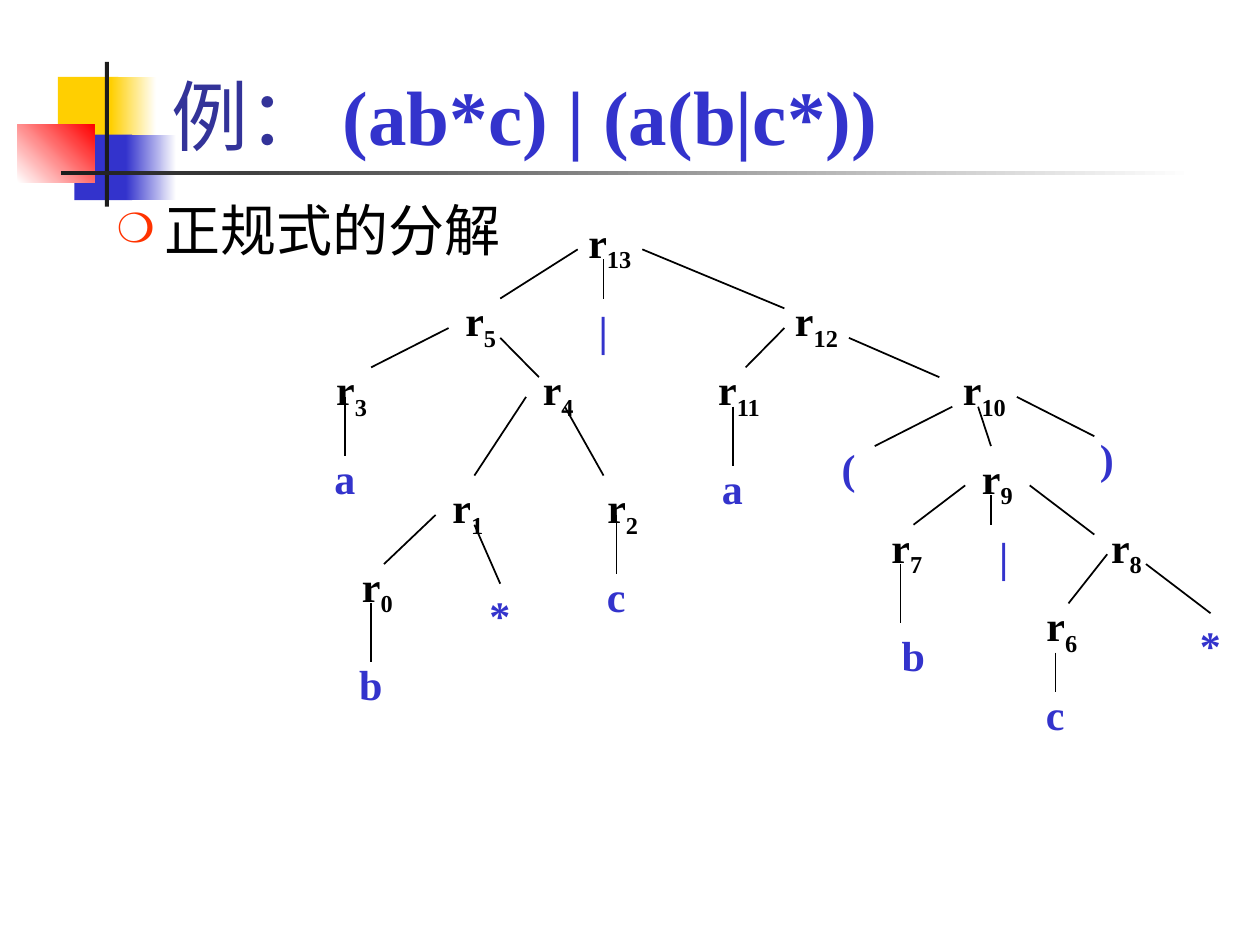
from lxml import etree
from pptx import Presentation
from pptx.dml.color import RGBColor
from pptx.enum.shapes import MSO_CONNECTOR, MSO_SHAPE
from pptx.enum.text import MSO_ANCHOR as ANCHOR, MSO_AUTO_SIZE as FIT, PP_ALIGN as ALIGN
from pptx.oxml import parse_xml
from pptx.oxml.ns import nsdecls, qn
from pptx.util import Pt

FONT = "Times New Roman"
YELLOW = RGBColor(0xFF, 0xCF, 0x01)
BLUE = RGBColor(0x33, 0x33, 0xCC)
NAVY = RGBColor(0x33, 0x33, 0x99)
RED = RGBColor(0xFF, 0x00, 0x00)
DARK = RGBColor(0x1C, 0x1C, 0x1C)
WHITE = RGBColor(0xFF, 0xFF, 0xFF)
BLACK = RGBColor(0x00, 0x00, 0x00)

# Tree grid: origin and step
X0, Y0, DX, DY = 197.3, 142.5, 7.38, 5.62


def add_run(p, text, size, color, bold=False):
    r = p.add_run()
    r.text = text
    for name, value in {"name": FONT, "size": Pt(size), "bold": bold}.items():
        setattr(r.font, name, value)
    r.font.color.rgb = color
    return r


def grid(col, row):
    return Pt(round(X0 + col * DX, 2)), Pt(round(Y0 + row * DY, 2))


prs = Presentation()
prs.slide_width, prs.slide_height = Pt(720), Pt(540)
s = prs.slides.add_slide(prs.slide_layouts[1])

# Corner ornament: left, top, width, height, colours, gradient angle
ornament = [
    (33.1, 43.9, 34.6, 37.4, [YELLOW], 0),
    (63.4, 43.9, 25.9, 37.4, [YELLOW, WHITE], 0),
    (42.5, 77, 33.1, 37.4, [BLUE], 0),
    (72, 77, 28.8, 37.4, [BLUE, WHITE], 0),
    (10.1, 71.3, 43.9, 33.1, [WHITE, RED], 45),
    (60, 35.3, 2.2, 82.8, [DARK], 0),
    (34.6, 97.9, 648, 2.2, [DARK, WHITE], 0),
]
for left, top, width, height, colors, angle in ornament:
    sp = s.shapes.add_shape(MSO_SHAPE.RECTANGLE, Pt(left), Pt(top), Pt(width), Pt(height))
    sp.shadow.inherit = False
    sp.line.fill.background()
    if len(colors) == 1:
        sp.fill.solid()
        sp.fill.fore_color.rgb = colors[0]
    else:
        sp.fill.gradient()
        sp.fill.gradient_angle = angle
        for stop, color, position in zip(sp.fill.gradient_stops, colors, (0, 1)):
            stop.color.rgb = color
            stop.position = position

# Title and body, in front of the ornament
title, body = s.shapes.title, s.placeholders[1]
boxes = [
    (title, (90.7, 5.8, 613.4, 90), ANCHOR.BOTTOM),
    (body, (59.8, 108, 612, 54), ANCHOR.TOP),
]
for sp, box, anchor in boxes:
    sp.left, sp.top, sp.width, sp.height = map(Pt, box)
    tf = sp.text_frame
    for name, value in {"word_wrap": True, "auto_size": FIT.NONE, "vertical_anchor": anchor}.items():
        setattr(tf, name, value)
    tf.paragraphs[0].alignment = ALIGN.LEFT
    tf.paragraphs[0].space_before = Pt(0)
    s.shapes._spTree.append(sp._element)

p = title.text_frame.paragraphs[0]
add_run(p, "例： ", 44, NAVY)
add_run(p, "(ab*c) | (a(b|c*))", 44, BLUE, True)

p = body.text_frame.paragraphs[0]
pPr = p._p.get_or_add_pPr()
pPr.set("marL", str(Pt(27)))
pPr.set("indent", str(Pt(-27)))
pPr.append(parse_xml(f'<a:buClr {nsdecls("a")}><a:srgbClr val="FF3300"/></a:buClr>'))
etree.SubElement(pPr, qn("a:buSzPct"), val="75000")
etree.SubElement(pPr, qn("a:buFont"), typeface=FONT)
etree.SubElement(pPr, qn("a:buChar"), char="❍")
add_run(p, "正规式的分解", 32, BLACK)

# Tree nodes: text, subscript, column, row
nodes = [
    ("r", "13", 16, -4), ("r", "12", 32, 4), ("r", "5", 6, 4),
    ("r", "3", -4, 11), ("r", "11", 26, 11), ("r", "4", 12, 11),
    ("r", "9", 46, 20), ("r", "10", 45, 11), ("r", "8", 56, 27),
    ("r", "7", 39, 27), ("r", "6", 51, 35), ("r", "0", -2, 31),
    ("r", "1", 5, 23), ("r", "2", 17, 23),
    ("b", "", -1, 41), ("*", "", 9, 34), ("c", "", 18, 32),
    ("a", "", -3, 20), ("a", "", 27, 21), ("|", "", 17, 5),
    ("(", "", 36, 19), (")", "", 56, 18), ("b", "", 41, 38),
    ("|", "", 48, 28), ("*", "", 64, 37), ("c", "", 52, 44),
]
tree = s.shapes.add_group_shape().shapes
for text, sub, col, row in nodes:
    width, height, color = (66.2, 40.3, BLACK) if sub else (44, 36, BLUE)
    sp = tree.add_textbox(*grid(col, row), Pt(width), Pt(height))
    tf = sp.text_frame
    tf.word_wrap = True
    tf.auto_size = FIT.SHAPE_TO_FIT_TEXT
    p = tf.paragraphs[0]
    p.alignment = ALIGN.CENTER
    add_run(p, text, 24, color, True)
    if sub:
        r = add_run(p, sub, 24, color, True)
        r._r.get_or_add_rPr().set("baseline", "-25000")

# Tree branches: column and row of both ends
branches = [
    (52, 15, 58, 19), (3, 32, 7, 27), (2, 12, 8, 8), (10, 23, 14, 15),
    (17, 16, 20, 23), (12, 9, 15, 13), (31, 12, 34, 8), (56, 36, 59, 31),
    (44, 28, 48, 24), (53, 24, 58, 29), (49, 16, 50, 20), (39, 9, 46, 13),
    (23, 0, 34, 6), (12, 5, 18, 0), (10, 28, 12, 34), (21, 27, 21, 33),
    (0, 15, 0, 21), (2, 36, 2, 42), (62, 32, 67, 37), (55, 41, 55, 45),
    (43, 32, 43, 38), (50, 25, 50, 28), (30, 16, 30, 22), (20, 1, 20, 5),
    (47, 16, 41, 20),
]
for c1, r1, c2, r2 in branches:
    line = tree.add_connector(MSO_CONNECTOR.STRAIGHT, *grid(c1, r1), *grid(c2, r2))
    line.line.color.rgb = BLACK
    line.line.width = Pt(1)
    etree.SubElement(line._element.spPr, qn("a:effectLst"))

prs.save("out.pptx")
